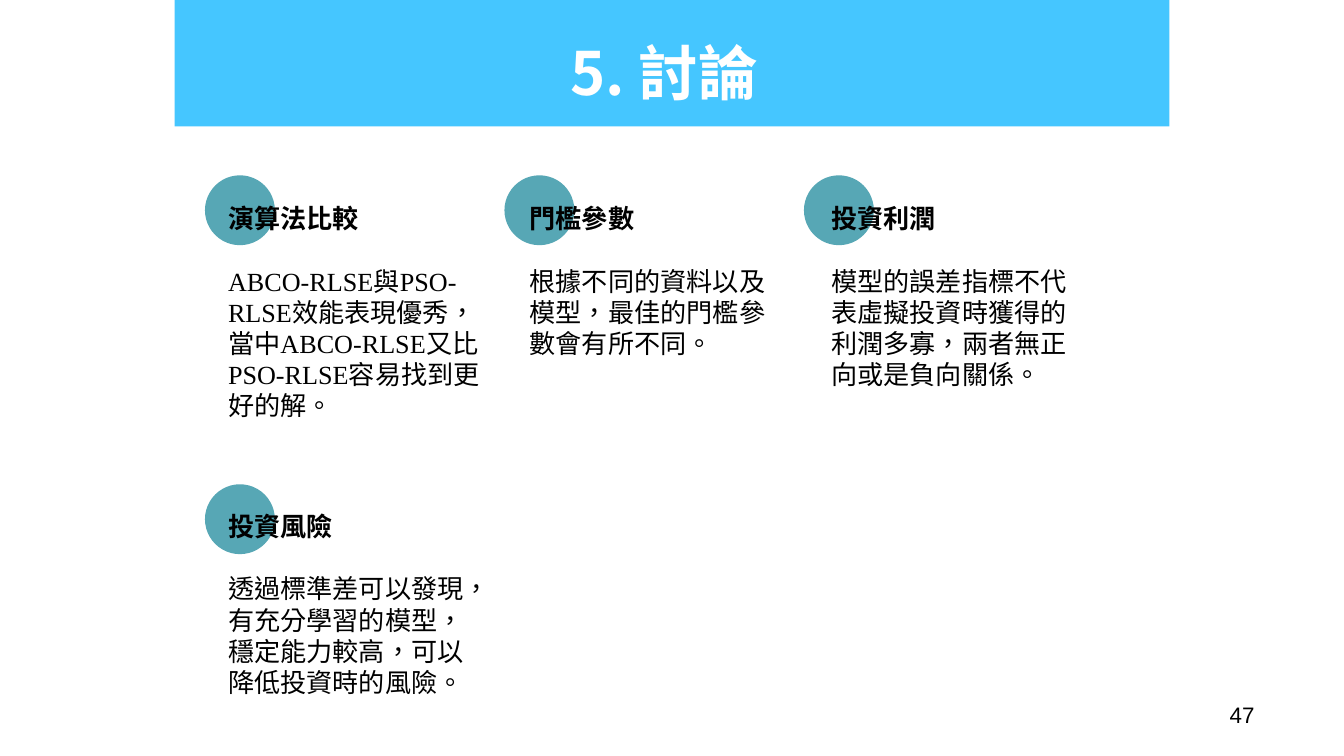
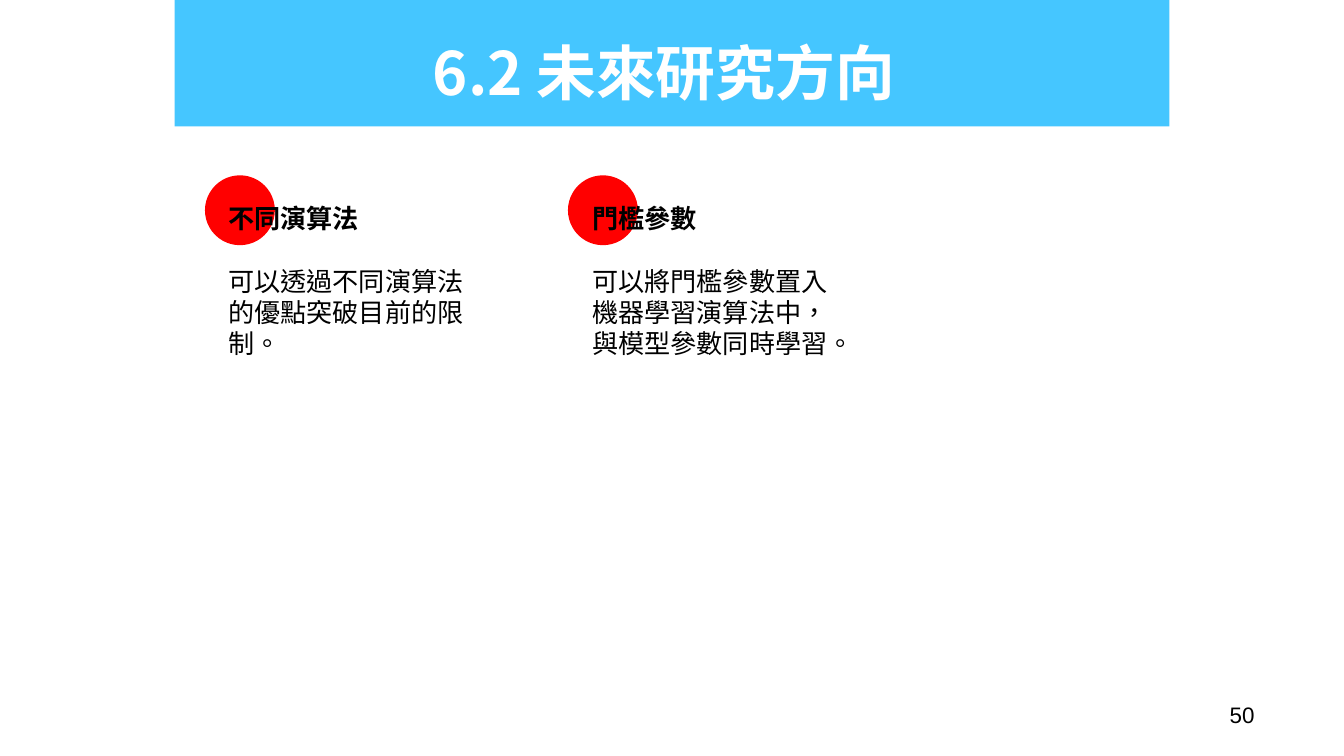
from dataclasses import dataclass
from typing import Any

from pptx import Presentation
from pptx.dml.color import RGBColor
from pptx.enum import shapes, text
from pptx.oxml import ns, xmlchemy
from pptx.util import Cm, Pt

# Shared look
SKY = RGBColor(0x00, 0xB2, 0xFF)
TEAL = RGBColor(0x57, 0xA7, 0xB5)
RED = RGBColor(0xFF, 0x00, 0x00)
WHITE = RGBColor(0xFF, 0xFF, 0xFF)
BLACK = RGBColor(0x00, 0x00, 0x00)
SANS = "Noto Sans CJK SC"
SERIF = "Times New Roman"
LINE_HEIGHT = Pt(16.7)
TITLE_ONLY = 5


@dataclass(frozen=True)
class Topic:
    heading: str
    body: str
    column: int
    row: int = 0
    body_height: float = 3.25
    body_font: str = SANS


@dataclass(frozen=True)
class TopicPage:
    title: str
    number: str
    colour: RGBColor
    dot_pitch: float
    text_pitch: float
    topics: tuple[Topic, ...]


PAGES = (
    TopicPage("5. 討論", "47", TEAL, 5.66, 5.7, (
        Topic("演算法比較",
              "ABCO-RLSE與PSO-RLSE效能表現優秀，當中ABCO-RLSE又比PSO-RLSE容易找到更好的解。",
              0, body_height=4.44, body_font=SERIF),
        Topic("門檻參數", "根據不同的資料以及模型，最佳的門檻參數會有所不同。", 1),
        Topic("投資利潤",
              "模型的誤差指標不代表虛擬投資時獲得的利潤多寡，兩者無正向或是負向關係。",
              2, body_height=3.84),
        Topic("投資風險",
              "透過標準差可以發現，有充分學習的模型，穩定能力較高，可以降低投資時的風險。",
              0, row=1, body_height=3.84, body_font=SERIF),
    )),
    TopicPage("6.2 未來研究方向", "50", RED, 6.86, 6.88, (
        Topic("不同演算法", "可以透過不同演算法的優點突破目前的限制。", 0),
        Topic("門檻參數", "可以將門檻參數置入機器學習演算法中，與模型參數同時學習。", 1),
    )),
)


def write(para: Any, words: str, *, size: float, font: str = SANS,
          colour: RGBColor = BLACK, bold: bool = False,
          align: Any = text.PP_ALIGN.LEFT) -> None:
    """Add one formatted span, with its East Asian font set too."""
    para.alignment = align
    span = para.add_run()
    span.text = words
    span.font.name = font
    span.font.size = Pt(size)
    span.font.bold = bold
    span.font.color.rgb = colour
    properties = span.font._element
    properties.set("lang", "zh-TW")
    east_asian = xmlchemy.OxmlElement("a:ea")
    east_asian.set("typeface", SANS)
    properties.find(ns.qn("a:latin")).addnext(east_asian)


def add_band(page: Any) -> None:
    """Draw the translucent title band behind everything else."""
    band = page.shapes.add_shape(shapes.MSO_SHAPE.RECTANGLE,
                                 Cm(3.3), 0, Cm(18.8), Cm(2.39))
    band.shadow.inherit = False
    band.line.fill.background()
    band.fill.solid()
    band.fill.fore_color.rgb = SKY
    alpha = xmlchemy.OxmlElement("a:alpha")
    alpha.set("val", "73000")
    band._element.spPr.find(ns.qn("a:solidFill"))[0].append(alpha)
    page.shapes._spTree.insert(2, band._element)


def set_title(page: Any, words: str) -> None:
    title = page.shapes.title
    title.left, title.top = Cm(3.15), Cm(0.58)
    title.width, title.height = Cm(18.8), Cm(1.4)
    frame = title.text_frame
    frame.word_wrap = True
    frame.auto_size = text.MSO_AUTO_SIZE.NONE
    frame.vertical_anchor = text.MSO_ANCHOR.TOP
    frame.margin_left = frame.margin_right = Cm(0.25)
    frame.margin_top = frame.margin_bottom = Cm(0.25)
    para = frame.paragraphs[0]
    para.line_spacing = 0.9
    write(para, words, size=32, colour=WHITE, bold=True,
          align=text.PP_ALIGN.CENTER)


def add_dot(page: Any, topic: Topic, style: TopicPage) -> None:
    dot = page.shapes.add_shape(
        shapes.MSO_SHAPE.OVAL, Cm(3.91 + topic.column * style.dot_pitch),
        Cm(3.35 + topic.row * 5.84), Cm(1.25), Cm(1.25))
    dot.shadow.inherit = False
    dot.fill.solid()
    dot.fill.fore_color.rgb = style.colour
    dot.line.color.rgb = style.colour
    dot.line.width = Pt(2)


def add_topic_text(page: Any, topic: Topic, style: TopicPage) -> None:
    box = page.shapes.add_textbox(
        Cm(4.06 + topic.column * style.text_pitch),
        Cm(3.71 + topic.row * 5.82), Cm(5.33), Cm(topic.body_height))
    frame = box.text_frame
    frame.word_wrap = True
    frame.auto_size = text.MSO_AUTO_SIZE.SHAPE_TO_FIT_TEXT
    heading = frame.paragraphs[0]
    heading.line_spacing = LINE_HEIGHT
    write(heading, topic.heading, size=14, bold=True)
    body = frame.add_paragraph()
    body.line_spacing = LINE_HEIGHT
    body.space_before = LINE_HEIGHT
    write(body, topic.body, size=14, font=topic.body_font)


def add_page_number(page: Any, number: str) -> None:
    box = page.shapes.add_textbox(Cm(18.24), Cm(13.13), Cm(5.72), Cm(0.76))
    box.text_frame.word_wrap = True
    box.text_frame.vertical_anchor = text.MSO_ANCHOR.MIDDLE
    write(box.text_frame.paragraphs[0], number, size=12, font="Arial",
          align=text.PP_ALIGN.RIGHT)


def build_page(deck: Any, style: TopicPage) -> None:
    page = deck.slides.add_slide(deck.slide_layouts[TITLE_ONLY])
    add_band(page)
    set_title(page, style.title)
    # Dots lie below all the text
    for topic in style.topics:
        add_dot(page, topic, style)
    for topic in style.topics:
        add_topic_text(page, topic, style)
    add_page_number(page, style.number)


def main() -> None:
    deck = Presentation()
    deck.slide_width, deck.slide_height = Cm(25.4), Cm(14.29)
    for style in PAGES:
        build_page(deck, style)
    deck.save("out.pptx")


if __name__ == "__main__":
    main()
